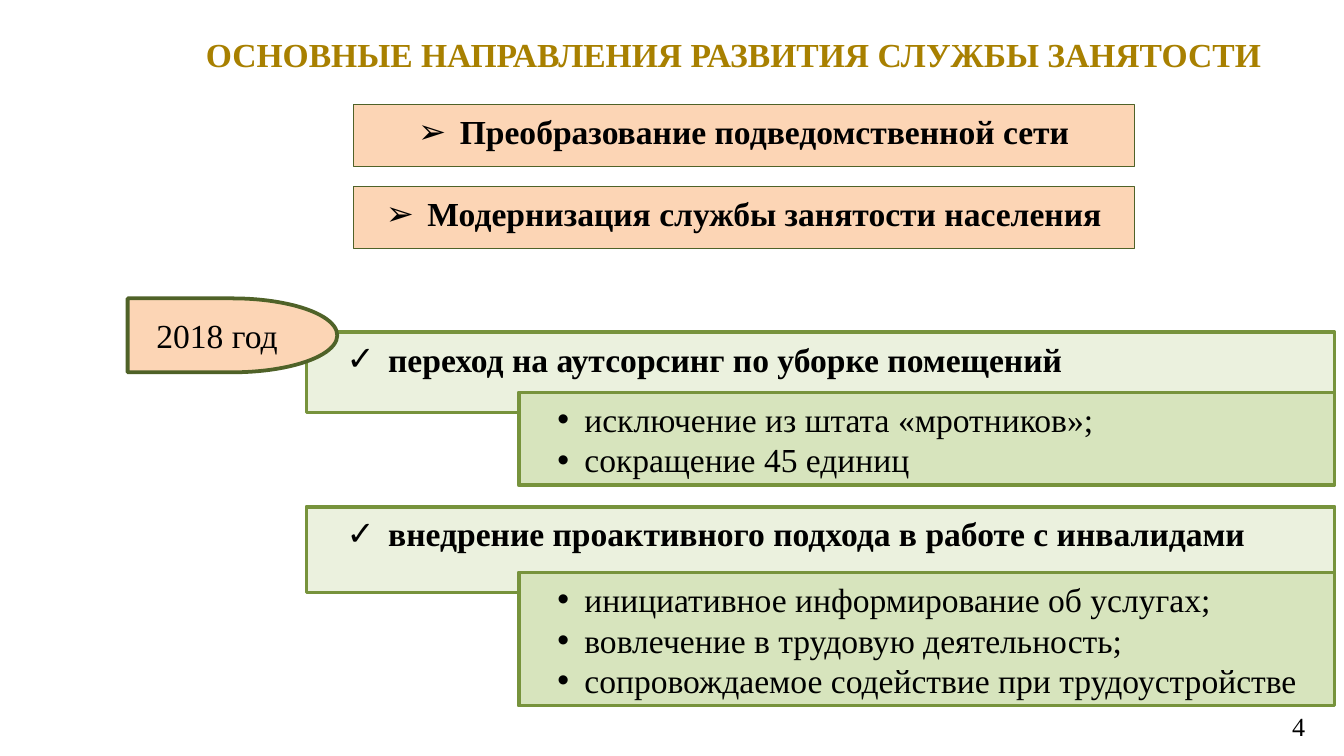
"""Build the slide on the development directions of the employment service."""
from lxml.etree import SubElement
from pptx import Presentation
from pptx.dml.color import RGBColor
from pptx.enum.shapes import MSO_SHAPE
from pptx.enum.text import MSO_ANCHOR, MSO_AUTO_SIZE, PP_ALIGN
from pptx.oxml.ns import qn
from pptx.util import Inches, Pt

TITLE = "ОСНОВНЫЕ НАПРАВЛЕНИЯ РАЗВИТИЯ СЛУЖБЫ ЗАНЯТОСТИ"
DIRECTIONS = [
    "Преобразование подведомственной сети",
    "Модернизация службы занятости населения",
]
YEAR = "2018 год"
PAGE_NUMBER = "4"
MEASURES = [
    {
        "heading": "переход на аутсорсинг по уборке помещений",
        "details": ["исключение из штата «мротников»;", "сокращение 45 единиц"],
        "heading_rows": (2.47, 0.6),
        "detail_rows": (2.92, 0.69),
    },
    {
        "heading": "внедрение проактивного подхода в работе с инвалидами",
        "details": [
            "инициативное информирование об услугах;",
            "вовлечение в трудовую деятельность;",
            "сопровождаемое содействие при трудоустройстве",
        ],
        "heading_rows": (3.77, 0.64),
        "detail_rows": (4.26, 0.99),
    },
]

COLORS = {
    "title": "A88000", "text": "000000", "peach": "FCD5B5", "olive": "4F6228",
    "pale": "EBF1DE", "light": "D7E4BD", "green": "77933C",
}
FONT = "Times New Roman"
SLIDE_WIDTH = Inches(10)
SLIDE_HEIGHT = SLIDE_WIDTH * 9 // 16
LEFT_EDGE, RIGHT_EDGE = 0.95, 9.93
HEADING_LEFT, DETAIL_LEFT = 2.28, 3.86
DIRECTION_LEFT, DIRECTION_TOP = 2.63, 0.78
DIRECTION_WIDTH, DIRECTION_HEIGHT, DIRECTION_PITCH = 5.81, 0.46, 0.61

STYLES = {
    "title": {"color": "title", "bold": True, "align": PP_ALIGN.CENTER},
    "direction": {"bold": True, "align": PP_ALIGN.CENTER, "bullet": ("➢", 0.31, -0.31)},
    "heading": {"bold": True, "bullet": ("✓", 0.51, -0.31)},
    "detail": {"bullet": ("•", 0.39, -0.2)},
    "year": {"align": PP_ALIGN.CENTER, "anchor": MSO_ANCHOR.MIDDLE},
    "number": {"size": 14, "align": PP_ALIGN.RIGHT, "anchor": MSO_ANCHOR.MIDDLE},
}


def add_bullet(paragraph, character, margin, indent):
    properties = paragraph._p.get_or_add_pPr()
    properties.set("marL", str(Inches(margin)))
    properties.set("indent", str(Inches(indent)))
    SubElement(properties, qn("a:buFont"), typeface="Arial")
    SubElement(properties, qn("a:buChar"), char=character)


def write_text(shape, lines, style_name):
    style = STYLES[style_name]
    frame = shape.text_frame
    frame.word_wrap = True
    frame.auto_size = MSO_AUTO_SIZE.NONE
    frame.vertical_anchor = style.get("anchor", MSO_ANCHOR.TOP)
    font_format = {"name": FONT, "size": Pt(style.get("size", 18)), "bold": style.get("bold", False)}
    for index, line in enumerate(lines):
        paragraph = frame.add_paragraph() if index else frame.paragraphs[0]
        paragraph.alignment = style.get("align", PP_ALIGN.LEFT)
        if "bullet" in style:
            add_bullet(paragraph, *style["bullet"])
        run = paragraph.add_run()
        run.text = line
        for attribute, value in font_format.items():
            setattr(run.font, attribute, value)
        run.font.color.rgb = RGBColor.from_string(COLORS[style.get("color", "text")])


def add_box(slide, box, lines, style_name, fill, line, line_width=2, kind=MSO_SHAPE.RECTANGLE):
    shape = slide.shapes.add_shape(kind, *map(Inches, box))
    shape.shadow.inherit = False
    shape.fill.solid()
    shape.fill.fore_color.rgb = RGBColor.from_string(COLORS[fill])
    shape.line.color.rgb = RGBColor.from_string(COLORS[line])
    shape.line.width = Pt(line_width)
    write_text(shape, lines, style_name)


def main():
    presentation = Presentation()
    presentation.slide_width, presentation.slide_height = SLIDE_WIDTH, SLIDE_HEIGHT
    slide = presentation.slides.add_slide(presentation.slide_layouts[5])

    title = slide.shapes.title
    title_box = {"left": LEFT_EDGE, "top": 0.2, "width": 9.02, "height": 0.4}
    for attribute, value in title_box.items():
        setattr(title, attribute, Inches(value))
    write_text(title, [TITLE], "title")

    for row, direction in enumerate(DIRECTIONS):
        top = DIRECTION_TOP + row * DIRECTION_PITCH
        box = (DIRECTION_LEFT, top, DIRECTION_WIDTH, DIRECTION_HEIGHT)
        add_box(slide, box, [direction], "direction", "peach", "olive", 0.75)

    for measure in MEASURES:
        for left, rows, lines, style_name, fill in (
            (HEADING_LEFT, measure["heading_rows"], [measure["heading"]], "heading", "pale"),
            (DETAIL_LEFT, measure["detail_rows"], measure["details"], "detail", "light"),
        ):
            top, height = rows
            box = (left, top, RIGHT_EDGE - left, height)
            add_box(slide, box, lines, style_name, fill, "green")

    add_box(slide, (LEFT_EDGE, 2.22, 1.56, 0.55), [YEAR], "year", "peach", "olive",
            kind=MSO_SHAPE.FLOWCHART_DELAY)

    number = slide.shapes.add_textbox(*map(Inches, (9.02, 5.25, 0.79, 0.31)))
    write_text(number, [PAGE_NUMBER], "number")
    presentation.save("out.pptx")


if __name__ == "__main__":
    main()
